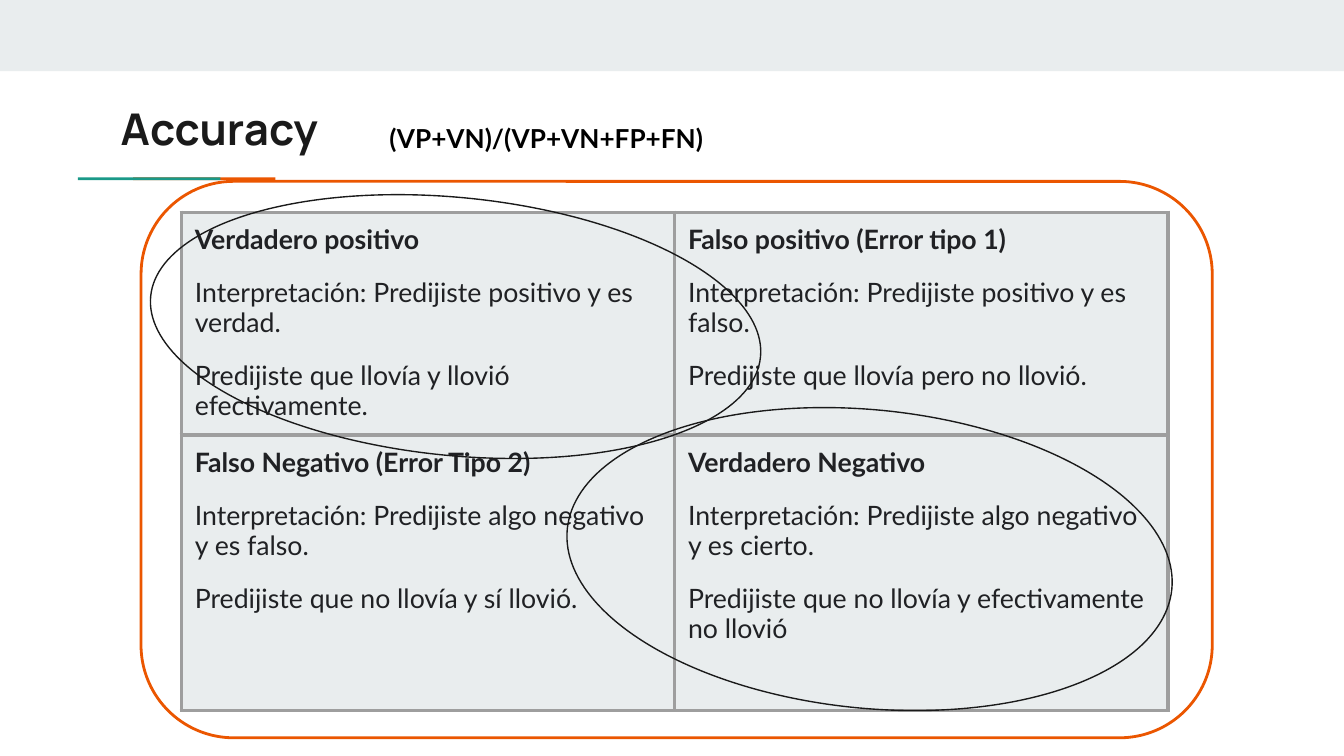
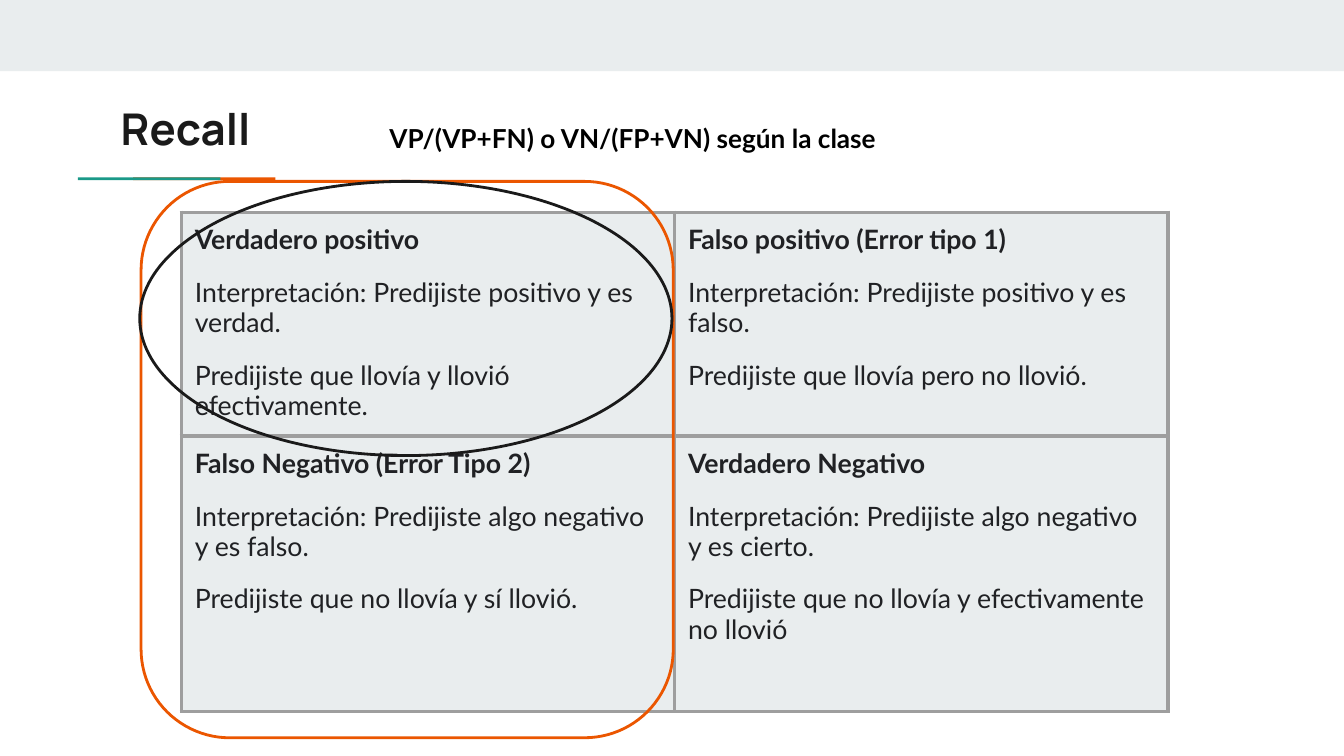
from pptx import Presentation
from pptx.dml.color import RGBColor
from pptx.enum.shapes import MSO_SHAPE
from pptx.enum.text import MSO_ANCHOR, MSO_AUTO_SIZE
from pptx.oxml import parse_xml
from pptx.oxml.ns import nsdecls
from pptx.util import Inches, Pt

INK, DARK, BLACK = "1A1A1A", "202124", "000000"
PALE, GREY, TEAL, RUST = "E9EDEE", "9E9E9E", "1A9988", "EB5600"

CELLS = [
    [("Verdadero positivo",
      "Interpretación: Predijiste positivo y es verdad.",
      "Predijiste que llovía y llovió efectivamente."),
     ("Falso positivo (Error tipo 1)",
      "Interpretación: Predijiste positivo y es falso.",
      "Predijiste que llovía pero no llovió.")],
    [("Falso Negativo (Error Tipo 2)",
      "Interpretación: Predijiste algo negativo y es falso.",
      "Predijiste que no llovía y sí llovió."),
     ("Verdadero Negativo",
      "Interpretación: Predijiste algo negativo y es cierto.",
      "Predijiste que no llovía y efectivamente no llovió")],
]


def color(code):
    return RGBColor.from_string(code)


def add_run(para, text, size, font, code, bold):
    run = para.add_run()
    run.text = text
    run.font.size = Pt(size)
    run.font.name = font
    run.font.bold = bold
    run.font.color.rgb = color(code)


def add_shape(slide, kind, box):
    shape = slide.shapes.add_shape(kind, *map(Inches, box))
    shape.shadow.inherit = False
    return shape


def add_bar(slide, box, code):
    bar = add_shape(slide, MSO_SHAPE.RECTANGLE, box)
    bar.fill.solid()
    bar.fill.fore_color.rgb = color(code)
    bar.line.fill.background()


def add_ring(slide, kind, box, code, width, turn=0):
    ring = add_shape(slide, kind, box)
    ring.fill.background()
    ring.line.color.rgb = color(code)
    ring.line.width = Pt(width)
    ring.rotation = turn


def add_frame(slide, width):
    add_ring(slide, MSO_SHAPE.ROUNDED_RECTANGLE, (1.05, 1.35, width, 4.14), RUST, 1.5)


def set_pads(item):
    item.margin_left = item.margin_right = Inches(0.1)
    item.margin_top = item.margin_bottom = Inches(0.1)


def add_text(slide, box, text, size, font, code, grow=False):
    frame = slide.shapes.add_textbox(*map(Inches, box)).text_frame
    frame.word_wrap = True
    frame.vertical_anchor = MSO_ANCHOR.TOP
    if grow:
        frame.auto_size = MSO_AUTO_SIZE.SHAPE_TO_FIT_TEXT
    set_pads(frame)
    add_run(frame.paragraphs[0], text, size, font, code, True)


def set_edges(cell, code, width):
    props = cell._tc.get_or_add_tcPr()
    for i, side in enumerate("LRTB"):
        props.insert(i, parse_xml(
            f'<a:ln{side} {nsdecls("a")} w="{Pt(width)}"><a:solidFill>'
            f'<a:srgbClr val="{code}"/></a:solidFill></a:ln{side}>'))


def fill_cell(cell, texts):
    cell.fill.solid()
    cell.fill.fore_color.rgb = color(PALE)
    set_pads(cell)
    set_edges(cell, GREY, 2.25)
    frame = cell.text_frame
    for i, text in enumerate(texts):
        para = frame.add_paragraph() if i else frame.paragraphs[0]
        para.line_spacing = 0.95
        para.space_before = Pt(12 if i else 0)
        add_run(para, text, 14.25, "Lato", DARK, i == 0)


def add_matrix(slide):
    box = map(Inches, (1.35, 1.58, 7.34, 3.59))
    table = slide.shapes.add_table(2, 2, *box).table
    table.first_row = table.horz_banding = False
    for col in table.columns:
        col.width = Inches(3.67)
    for row, high, line in zip(table.rows, (1.54, 2.05), CELLS):
        row.height = Inches(high)
        for cell, texts in zip(row.cells, line):
            fill_cell(cell, texts)


def add_slide(deck):
    slide = deck.slides.add_slide(deck.slide_layouts[6])
    add_bar(slide, (0, 0, 10, 0.53), PALE)
    add_bar(slide, (0.99, 1.32, 1.06, 0.02), RUST)
    add_bar(slide, (0.58, 1.32, 1.06, 0.02), TEAL)
    add_matrix(slide)
    return slide


def add_heads(slide, title, rule):
    add_text(slide, (0.8, 0.66, 8.41, 0.59), title, 23.4, "Manrope", INK)
    add_text(slide, (2.8, 0.81, 7.2, 0.44), rule, 14, "Lato", BLACK, True)


def main():
    deck = Presentation()
    deck.slide_width = Inches(10)
    deck.slide_height = deck.slide_width * 9 // 16

    slide = add_slide(deck)
    for box in ((4.21, 3.05, 4.52, 2.22), (1.11, 1.47, 4.56, 1.92)):
        add_ring(slide, MSO_SHAPE.OVAL, box, INK, 0.75, 5.7)
    add_frame(slide, 7.97)
    add_heads(slide, "Accuracy", "(VP+VN)/(VP+VN+FP+FN)")

    slide = add_slide(deck)
    add_frame(slide, 3.96)
    add_heads(slide, "Recall", "VP/(VP+FN) o VN/(FP+VN) según la clase")
    add_ring(slide, MSO_SHAPE.FLOWCHART_CONNECTOR, (1.04, 1.35, 3.96, 2.04), INK, 1.5)

    deck.save("out.pptx")


if __name__ == "__main__":
    main()
